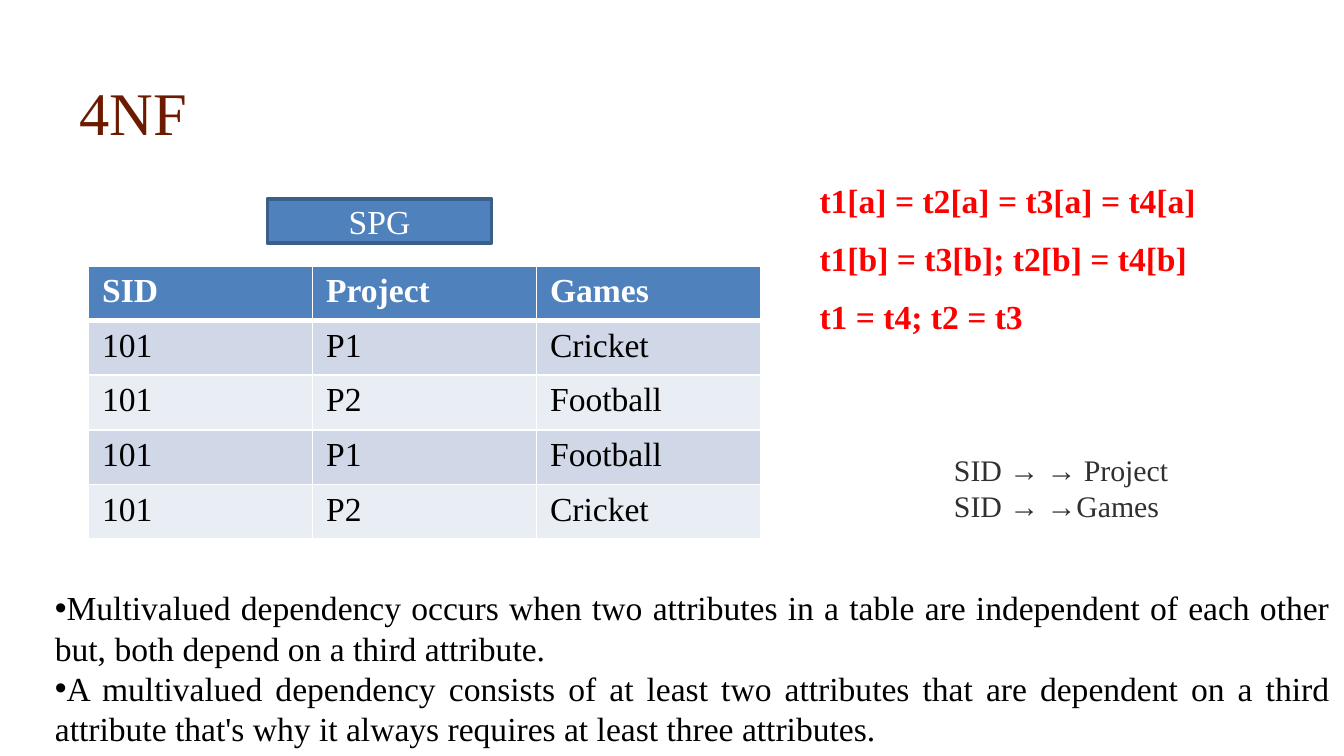
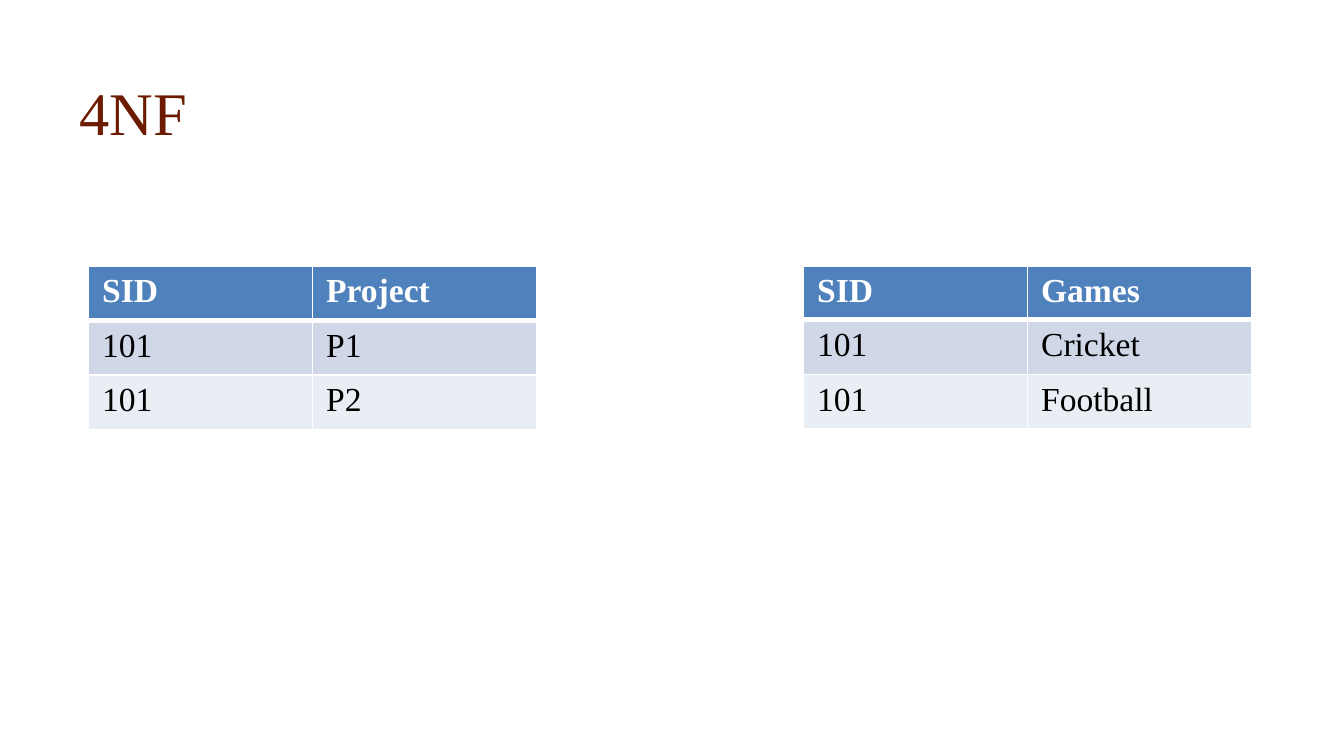
from lxml.etree import SubElement
from pptx import Presentation
from pptx.dml.color import RGBColor
from pptx.enum.shapes import MSO_SHAPE
from pptx.enum.text import MSO_ANCHOR, PP_ALIGN
from pptx.oxml.ns import qn
from pptx.util import Inches, Pt

FONT = "Times New Roman"
COLORS = {
    "title": "6C1A00", "blue": "4F81BD", "outline": "3A5F8C",
    "odd_row": "D0D8E8", "even_row": "E9EDF4", "white": "FFFFFF",
    "black": "000000", "red": "FF0000", "gray": "303030",
}
COLUMN_WIDTH = 5 / 3
ROW_HEIGHT = 2.03 / 5
TABLE_LEFT, TABLE_TOP = 0.66, 1.98


def write_lines(frame, lines, size, color, bold=False, align=PP_ALIGN.LEFT):
    frame.word_wrap = True
    frame.text = "\n".join(lines)
    for para in frame.paragraphs:
        para.alignment = align
        for span in para.runs:
            span.font.name = FONT
            span.font.size = Pt(size)
            span.font.bold = bold
            span.font.color.rgb = RGBColor.from_string(COLORS[color])


def add_banded_table(page, left, rows, header_height=ROW_HEIGHT):
    columns = len(rows[0])
    height = header_height + ROW_HEIGHT * (len(rows) - 1)
    table = page.shapes.add_table(
        len(rows), columns, Inches(left), Inches(TABLE_TOP),
        Inches(COLUMN_WIDTH * columns), Inches(height)).table
    for column in table.columns:
        column.width = Inches(COLUMN_WIDTH)
    for r, values in enumerate(rows):
        header = r == 0
        table.rows[r].height = Inches(header_height if header else ROW_HEIGHT)
        fill = "blue" if header else "odd_row" if r % 2 else "even_row"
        borders = {"lnL": 1, "lnR": 1, "lnT": 3 if r == 1 else 1,
                   "lnB": 3 if header else 1}
        for c, value in enumerate(values):
            cell = table.cell(r, c)
            write_lines(cell.text_frame, [value], 18,
                        "white" if header else "black", bold=header)
            properties = cell._tc.get_or_add_tcPr()
            for side, width in borders.items():
                line = SubElement(properties, qn(f"a:{side}"), w=str(Pt(width)))
                solid = SubElement(line, qn("a:solidFill"))
                SubElement(solid, qn("a:srgbClr"), val=COLORS["white"])
            cell.fill.solid()
            cell.fill.fore_color.rgb = RGBColor.from_string(COLORS[fill])


deck = Presentation()
deck.slide_width = Inches(10)
deck.slide_height = Inches(10 * 9 / 16)

pages = [deck.slides.add_slide(deck.slide_layouts[6]) for _ in range(2)]
for page in pages:
    title = page.shapes.add_textbox(Inches(0.49), Inches(0.14), Inches(9.02), Inches(0.84))
    title.text_frame.margin_top = Inches(0.42)
    title.text_frame.margin_bottom = 0
    write_lines(title.text_frame, ["4NF"], 32.4, "title", align=PP_ALIGN.JUSTIFY)

spg_page, split_page = pages

# Slide 1: the SPG relation and its multivalued dependencies
add_banded_table(spg_page, TABLE_LEFT, [
    ("SID", "Project", "Games"),
    ("101", "P1", "Cricket"),
    ("101", "P2", "Football"),
    ("101", "P1", "Football"),
    ("101", "P2", "Cricket"),
])

conditions = spg_page.shapes.add_textbox(Inches(6), Inches(1.27), Inches(3.34), Inches(1.28))
write_lines(conditions.text_frame, [
    "t1[a] = t2[a] = t3[a] = t4[a]",
    "t1[b] = t3[b]; t2[b] = t4[b] ",
    "t1 = t4; t2 = t3 ",
], 18, "red", bold=True, align=PP_ALIGN.JUSTIFY)
for para in conditions.text_frame.paragraphs:
    para.line_spacing = 1.07
    para.space_after = Pt(8)

label = spg_page.shapes.add_shape(
    MSO_SHAPE.RECTANGLE, Inches(1.99), Inches(1.48), Inches(COLUMN_WIDTH), Inches(0.33))
label.shadow.inherit = False
label.fill.solid()
label.fill.fore_color.rgb = RGBColor.from_string(COLORS["blue"])
label.line.color.rgb = RGBColor.from_string(COLORS["outline"])
label.line.width = Pt(2)
label.text_frame.vertical_anchor = MSO_ANCHOR.MIDDLE
write_lines(label.text_frame, ["SPG"], 18, "white", align=PP_ALIGN.CENTER)

dependencies = spg_page.shapes.add_textbox(Inches(7), Inches(3.31), Inches(1.94), Inches(0.64))
write_lines(dependencies.text_frame, ["SID → → Project", "SID → →Games"], 16, "gray")

notes = spg_page.shapes.add_textbox(Inches(0.31), Inches(4.32), Inches(9.69), Inches(1.31))
write_lines(notes.text_frame, [
    "Multivalued dependency occurs when two attributes in a table are independent "
    "of each other but, both depend on a third attribute.",
    "A multivalued dependency consists of at least two attributes that are dependent "
    "on a third attribute that's why it always requires at least three attributes.",
], 18, "black", align=PP_ALIGN.JUSTIFY)
for para in notes.text_frame.paragraphs:
    properties = para._p.get_or_add_pPr()
    SubElement(properties, qn("a:buFont"), typeface="Arial")
    SubElement(properties, qn("a:buChar"), char="•")

# Slide 2: SPG split into two relations
add_banded_table(split_page, TABLE_LEFT,
                 [("SID", "Project"), ("101", "P1"), ("101", "P2")])
add_banded_table(split_page, 5.98,
                 [("SID", "Games"), ("101", "Cricket"), ("101", "Football")],
                 header_height=0.24)

deck.save("out.pptx")
